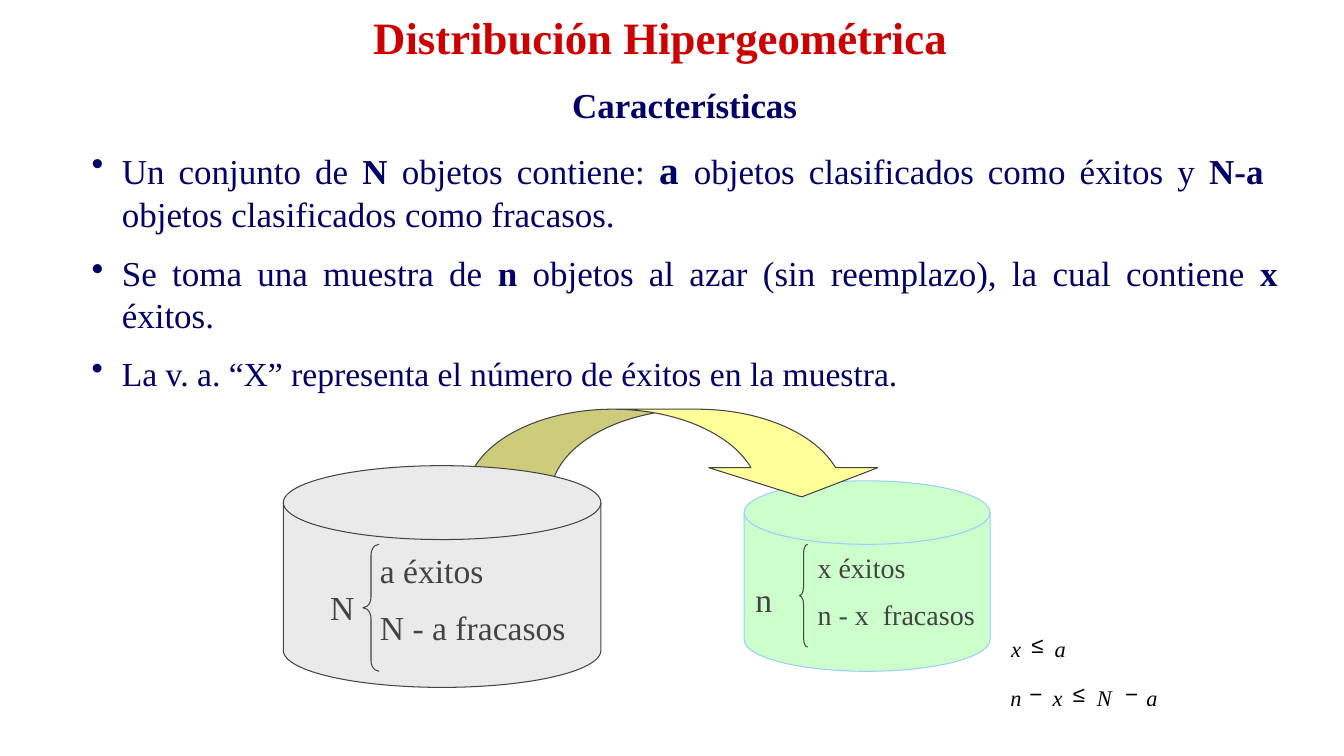
from pptx import Presentation
from pptx.dml.color import RGBColor
from pptx.enum.shapes import MSO_SHAPE as Shape
from pptx.enum.text import MSO_ANCHOR as Anchor, MSO_AUTO_SIZE as AutoSize, PP_ALIGN as Align
from pptx.oxml.ns import qn
from pptx.util import Emu, Pt
from lxml import etree

# Content: lengths in px, 100 to the inch
PX = 9144
SLIDE = (1333, 750)
SERIF, SANS = "Times New Roman", "Arial"
RED, NAVY, GREY, BLACK, WHITE = "CC0000", "000066", "434343", "000000", "FFFFFF"

TITLE = ("Distribución Hipergeométrica", (344, 5, 622, 63))
BODY_BOX = (62, 78, 1215, 328)
SUBTITLE = "Características"
# Each run: text, size, bold
POINTS = [
    [("Un conjunto de ", 25, False), ("N", 25, True),
     (" objetos contiene: ", 25, False), ("a ", 28, True),
     ("objetos clasificados como éxitos y ", 25, False), ("N-a", 25, True),
     ("  objetos clasificados como fracasos.", 25, False)],
    [("Se toma una muestra de ", 25, False), ("n", 25, True),
     (" objetos al azar (sin reemplazo), la cual contiene ", 25, False),
     ("x", 25, True), (" éxitos.", 25, False)],
    [("La v. a. “X” representa el número de éxitos en la muestra.", 24, False)],
]
# Shape, box, fill, line, adjustments; from back to front
DRAWING = [
    (Shape.FLOWCHART_MAGNETIC_DISK, (738, 477, 244, 189), "CCFFCC", "99CCFF", ()),
    (Shape.CURVED_DOWN_ARROW, (462, 406, 417, 87), "FFFF99", GREY, (0.965, 1.927, 0.333)),
    (Shape.FLOWCHART_MAGNETIC_DISK, (281, 462, 315, 220), "EAEAEA", GREY, ()),
    (Shape.LEFT_BRACE, (360, 540, 16, 126), None, GREY, (0.672, 0.5)),
    (Shape.LEFT_BRACE, (793, 540, 8, 102), None, GREY, (1.093, 0.5)),
]
# Lines, box, size, alignment
LABELS = [
    (["a éxitos", "N - a fracasos"], (367, 541, 213, 111), 24, Align.LEFT),
    (["N"], (312, 577, 55, 50), 24, Align.CENTER),
    (["x éxitos", "n - x  fracasos"], (801, 541, 189, 93), 20, Align.LEFT),
    (["n"], (730, 569, 55, 50), 24, Align.CENTER),
]
# Top of each formula, then its symbols with left and width
FORMULAS = [
    (630, [("x", 1003, 10), ("≤", 1023, 12), ("a", 1046, 11)]),
    (679, [("n", 1002, 11), ("−", 1021, 12), ("x", 1044, 10), ("≤", 1064, 12),
           ("N", 1088, 15), ("−", 1116, 12), ("a", 1137, 11)]),
]
SYMBOL_HEIGHT, OPERATOR_RISE = 27, 4

prs = Presentation()
prs.slide_width, prs.slide_height = (Emu(side * PX) for side in SLIDE)
slide = prs.slides.add_slide(prs.slide_layouts[6])


def rgb(value):
    return RGBColor.from_string(value)


def emu(box):
    return [Emu(length * PX) for length in box]


def style(run, size, color, bold=False, italic=False, face=SERIF):
    font = run.font
    font.name, font.size, font.bold, font.italic = face, Pt(size), bold, italic
    font.color.rgb = rgb(color)


def space_before(paragraph):
    spacing = etree.SubElement(paragraph._p.get_or_add_pPr(), qn("a:spcBef"))
    etree.SubElement(spacing, qn("a:spcPct")).set("val", "50000")


def add_text(lines, box, size, color, align=Align.LEFT, bold=False):
    frame = slide.shapes.add_textbox(*emu(box)).text_frame
    frame.word_wrap = True
    frame.auto_size = AutoSize.SHAPE_TO_FIT_TEXT
    frame.text = "\n".join(lines)
    for paragraph in frame.paragraphs:
        paragraph.alignment = align
        space_before(paragraph)
        style(paragraph.runs[0], size, color, bold)


def add_shape(kind, box, fill, line, adjustments=()):
    shape = slide.shapes.add_shape(kind, *emu(box))
    shape.shadow.inherit = False
    if fill:
        shape.fill.solid()
        shape.fill.fore_color.rgb = rgb(fill)
    else:
        shape.fill.background()
    if line:
        shape.line.color.rgb = rgb(line)
        shape.line.width = Pt(0.75)
    else:
        shape.line.fill.background()
    for index, value in enumerate(adjustments):
        shape.adjustments[index] = value
    return shape


def add_symbol(symbol, left, top, width):
    operator = symbol in "≤−"
    box = (left, top - OPERATOR_RISE * operator, width, SYMBOL_HEIGHT)
    frame = slide.shapes.add_textbox(*emu(box)).text_frame
    frame.margin_left = frame.margin_right = frame.margin_top = frame.margin_bottom = 0
    frame.word_wrap = False
    frame.auto_size = AutoSize.SHAPE_TO_FIT_TEXT
    frame.text = symbol
    style(frame.paragraphs[0].runs[0], 16, BLACK, italic=not operator,
          face=SANS if operator else SERIF)


# Title
add_text([TITLE[0]], TITLE[1], 32, RED, Align.CENTER, bold=True)

# Subtitle and bullet points
body = add_shape(Shape.RECTANGLE, BODY_BOX, WHITE, None).text_frame
body.word_wrap = True
body.auto_size = AutoSize.SHAPE_TO_FIT_TEXT
body.vertical_anchor = Anchor.TOP
for row, runs in enumerate([[(SUBTITLE, 25, True)], *POINTS]):
    paragraph = body.add_paragraph() if row else body.paragraphs[0]
    paragraph.level = 1
    paragraph.alignment = Align.JUSTIFY if row else Align.CENTER
    space_before(paragraph)
    props = paragraph._p.get_or_add_pPr()
    props.set("marL", str(49 * PX))
    props.set("indent", str(-30 * PX))
    if row:
        etree.SubElement(props, qn("a:buChar")).set("char", "•")
    for text, size, bold in runs:
        run = paragraph.add_run()
        run.text = text
        style(run, size, NAVY, bold)

# Population, sample, arrow and braces
for part in DRAWING:
    add_shape(*part)
for lines, box, size, align in LABELS:
    add_text(lines, box, size, GREY, align)

# Conditions
for top, symbols in FORMULAS:
    for symbol, left, width in symbols:
        add_symbol(symbol, left, top, width)

prs.save("out.pptx")
